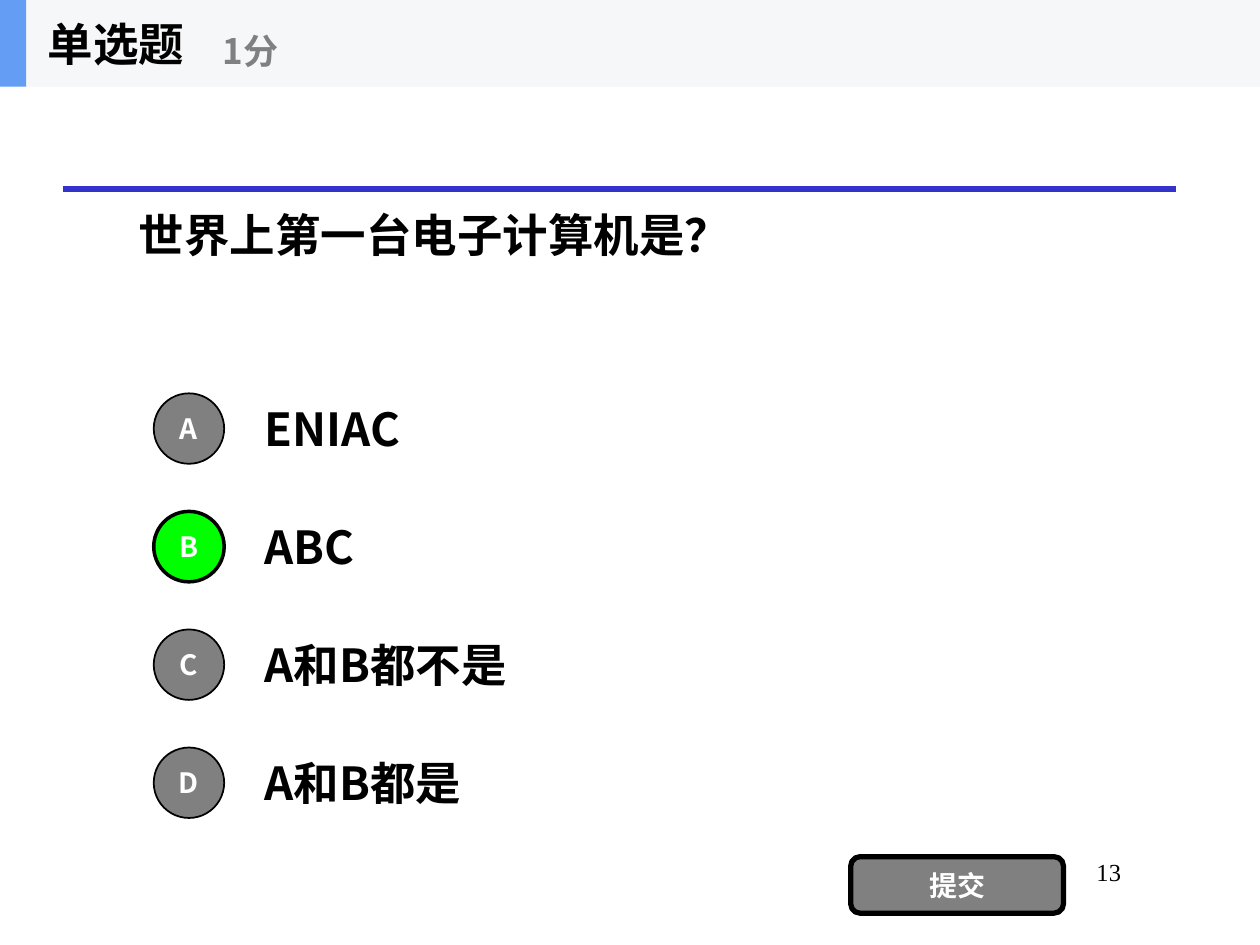
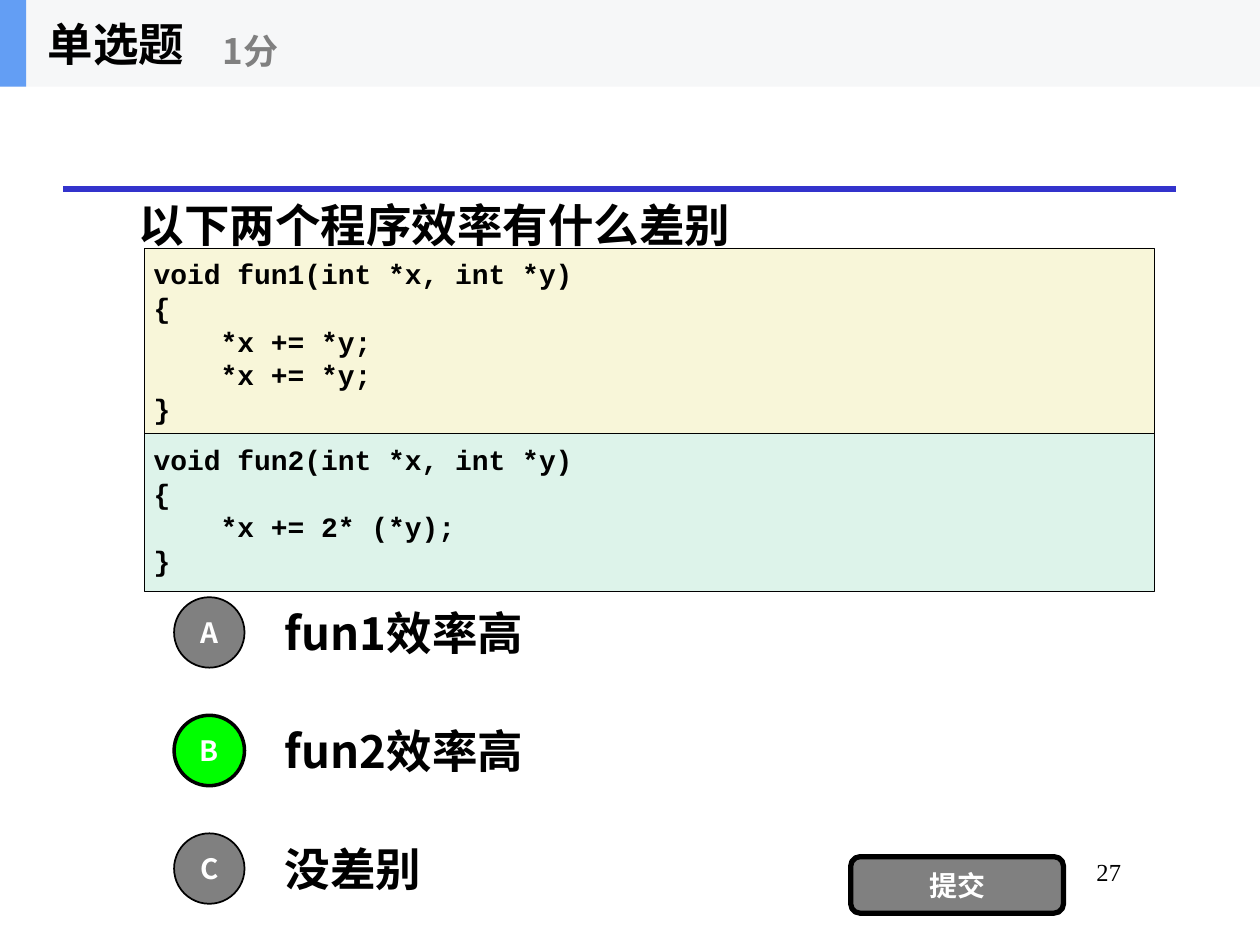
from dataclasses import dataclass

import lxml.etree
import pptx
import pptx.dml.color
import pptx.enum.shapes
import pptx.enum.text
import pptx.oxml.ns
import pptx.util

Cm = pptx.util.Cm
Pt = pptx.util.Pt
Shape = pptx.enum.shapes.MSO_SHAPE
Align = pptx.enum.text.PP_ALIGN
Anchor = pptx.enum.text.MSO_ANCHOR
qn = pptx.oxml.ns.qn


@dataclass(frozen=True)
class Theme:
    text_font: str = "Noto Sans CJK SC"
    code_font: str = "Courier New"
    number_font: str = "Times New Roman"
    black: str = "000000"
    white: str = "FFFFFF"
    gray: str = "808080"
    selected: str = "00FF00"
    rule: str = "3333CC"
    band: str = "F6F7F8"
    accent: str = "639EF4"
    first_code: str = "F8F6D9"
    second_code: str = "DDF3EA"
    heading_size: int = 26
    score_size: int = 20
    label_size: int = 16
    number_size: int = 14


THEME = Theme()
BAND_HEIGHT = 1.75
OPTION_PITCH = 2.38
OPTION_HEIGHT = 1.78
BADGE_SIZE = 1.42
BADGE_TO_TEXT = 1.98


def color(value):
    return pptx.dml.color.RGBColor.from_string(value)


def lengths(*values):
    return [Cm(value) for value in values]


def write_text(shape, lines, size, ink=THEME.black, font=THEME.text_font,
               bold=True, align=Align.LEFT, anchor=Anchor.MIDDLE, margins=None):
    frame = shape.text_frame
    frame.word_wrap = True
    frame.auto_size = pptx.enum.text.MSO_AUTO_SIZE.NONE
    frame.vertical_anchor = anchor
    if margins is not None:
        frame.margin_left = frame.margin_right = Cm(margins)
        frame.margin_top = frame.margin_bottom = Cm(margins)
    frame.text = lines
    for paragraph in frame.paragraphs:
        paragraph.alignment = align
        paragraph.font.name = font
        paragraph.font.size = Pt(size)
        paragraph.font.bold = bold
        paragraph.font.color.rgb = color(ink)
        defaults = paragraph._p.pPr.find(qn("a:defRPr"))
        lxml.etree.SubElement(defaults, qn("a:ea"), typeface=font)


def add_text(shapes, box, text, size, **style):
    write_text(shapes.add_textbox(*lengths(*box)), text, size, **style)


def add_panel(shapes, kind, box, fill, line_width=0):
    panel = shapes.add_shape(kind, *lengths(*box))
    panel.shadow.inherit = False
    panel.fill.solid()
    panel.fill.fore_color.rgb = color(fill)
    if line_width:
        panel.line.color.rgb = color(THEME.black)
        panel.line.width = Pt(line_width)
    else:
        panel.line.fill.background()
    return panel


def add_rule(slide):
    rule = slide.shapes.add_connector(
        pptx.enum.shapes.MSO_CONNECTOR.STRAIGHT, *lengths(1.27, 3.81, 23.7, 3.81))
    rule.line.color.rgb = color(THEME.rule)
    rule.line.width = Pt(3)
    lxml.etree.SubElement(rule._element.spPr, qn("a:effectLst"))


def add_header(slide):
    shapes = slide.shapes.add_group_shape().shapes
    add_panel(shapes, Shape.RECTANGLE, (0, 0, 25.4, BAND_HEIGHT), THEME.band)
    add_panel(shapes, Shape.RECTANGLE, (0, 0, 0.53, BAND_HEIGHT), THEME.accent)
    add_text(shapes, (0.71, 0, 5.28, BAND_HEIGHT), "单选题", THEME.heading_size)
    add_text(shapes, (4.24, 0.3, 6.35, 1.42), "1分", THEME.score_size, ink=THEME.gray)


def add_question(slide, text, top):
    title = slide.shapes.title
    title.left, title.top, title.width, title.height = lengths(2.54, top, 20.32, 5.94)
    write_text(title, text, THEME.heading_size)


def add_options(slide, options, left, top, selected):
    for index, (letter, text) in enumerate(zip("ABCD", options)):
        option_top = top + index * OPTION_PITCH
        add_text(slide.shapes, (left + BADGE_TO_TEXT, option_top, 17.78, OPTION_HEIGHT),
                 text, THEME.heading_size)
        badge_top = option_top + (OPTION_HEIGHT - BADGE_SIZE) / 2
        chosen = letter == selected
        badge = add_panel(slide.shapes, Shape.OVAL,
                          (left, badge_top, BADGE_SIZE, BADGE_SIZE),
                          THEME.selected if chosen else THEME.gray, 2 if chosen else 1)
        write_text(badge, letter, THEME.label_size, ink=THEME.white,
                   align=Align.CENTER, margins=0)


def add_code(slide, code, top, height, fill):
    panel = add_panel(slide.shapes, Shape.RECTANGLE, (2.92, top, 20.35, height), fill, 0.5)
    write_text(panel, code, THEME.label_size, font=THEME.code_font,
               anchor=Anchor.TOP, margins=0.18)


def add_submit_button(slide):
    button = add_panel(slide.shapes, Shape.ROUNDED_RECTANGLE,
                       (17.15, 17.27, 4.29, 1.14), THEME.gray, 3)
    write_text(button, "提交", THEME.label_size, ink=THEME.white,
               align=Align.CENTER, margins=0)


def add_quiz_slide(presentation, number, question, question_top):
    slide = presentation.slides.add_slide(presentation.slide_layouts[5])
    add_question(slide, question, question_top)
    add_rule(slide)
    add_text(slide.shapes, (19.25, 17.15, 3.6, 1.27), str(number), THEME.number_size,
             font=THEME.number_font, bold=False, align=Align.RIGHT, anchor=Anchor.TOP)
    add_submit_button(slide)
    add_header(slide)
    return slide


def main():
    presentation = pptx.Presentation()
    presentation.slide_width, presentation.slide_height = lengths(25.4, 19.05)

    computer = add_quiz_slide(presentation, 13, "世界上第一台电子计算机是？", 1.75)
    add_options(computer, ["ENIAC", "ABC", "A和B都不是", "A和B都是"], 3.1, 7.75, "B")

    efficiency = add_quiz_slide(presentation, 27, "以下两个程序效率有什么差别", 1.55)
    add_options(efficiency, ["fun1效率高", "fun2效率高", "没差别"], 3.51, 11.86, "B")
    add_code(efficiency,
             "void fun1(int *x, int *y)\n{\n    *x += *y;\n    *x += *y;\n}",
             5, 3.8, THEME.first_code)
    add_code(efficiency,
             "void fun2(int *x, int *y)\n{\n    *x += 2* (*y);\n}",
             8.74, 3.18, THEME.second_code)

    presentation.save("out.pptx")


if __name__ == "__main__":
    main()
